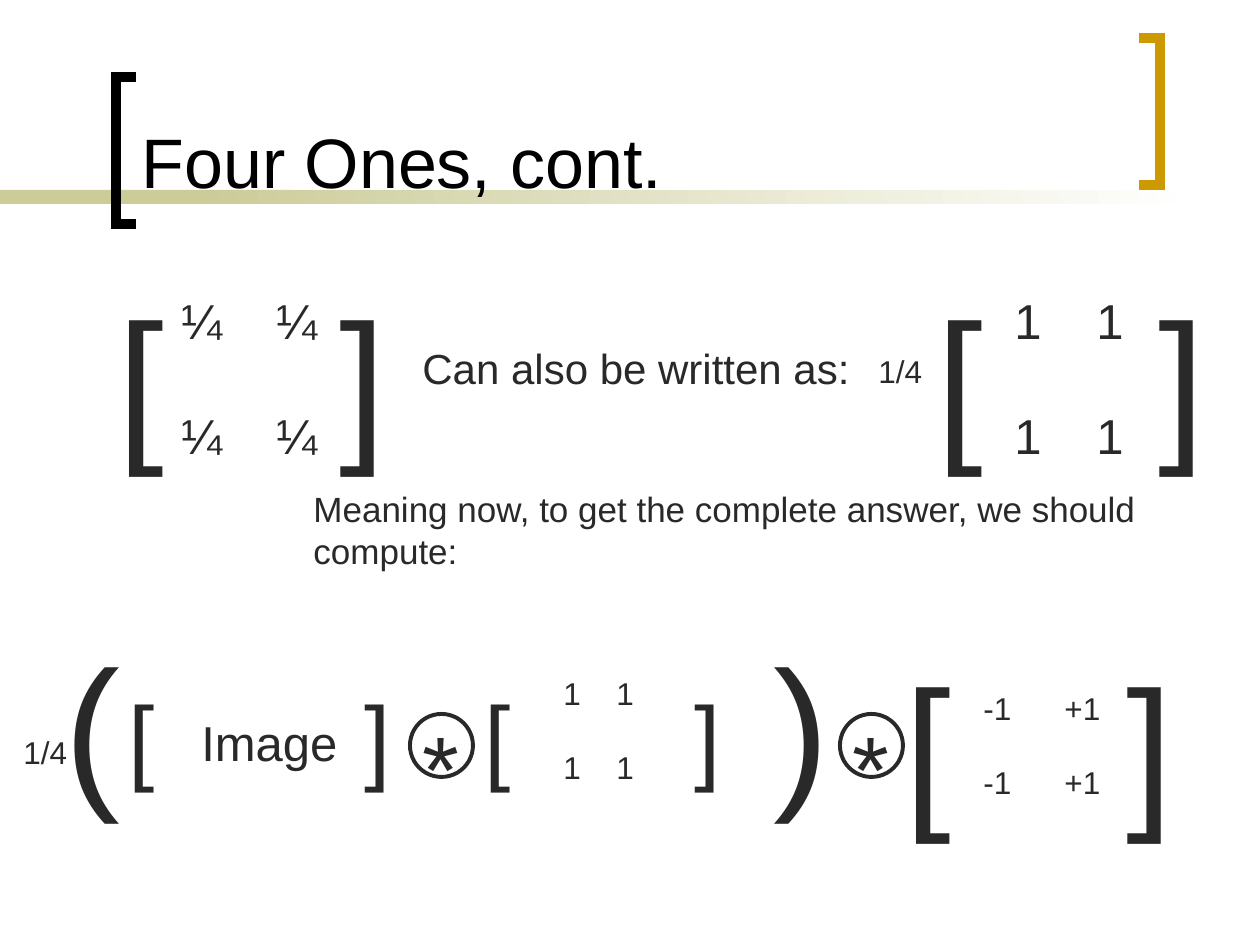
from lxml.etree import SubElement
from pptx import Presentation
from pptx.dml.color import RGBColor
from pptx.enum.shapes import MSO_SHAPE
from pptx.enum.text import MSO_ANCHOR, PP_ALIGN
from pptx.oxml.ns import qn
from pptx.util import Pt

EMU_PER_PX = 914400 / 126
FONT = "Arial"
COLORS = {
    "title": "000000",
    "text": "292929",
    "band": "CCCC99",
    "paper": "FFFFFF",
    "gold": "CC9900",
}


def px(value):
    return round(value * EMU_PER_PX)


def color(name):
    return RGBColor.from_string(COLORS[name])


def format_paragraph(para, size, color_name="text"):
    para.alignment = PP_ALIGN.LEFT
    for span in para.runs:
        span.font.name = FONT
        span.font.size = Pt(size)
        span.font.color.rgb = color(color_name)


def add_tab_stop(para, position):
    tabs = SubElement(para._p.get_or_add_pPr(), qn("a:tabLst"))
    SubElement(tabs, qn("a:tab"), pos=str(px(position)), algn="l")


def add_text(slide, text, left, top, width, height, size, tab=None, gap=0):
    box = slide.shapes.add_textbox(px(left), px(top), px(width), px(height))
    frame = box.text_frame
    frame.word_wrap = True
    frame.text = text
    for index, para in enumerate(frame.paragraphs):
        format_paragraph(para, size)
        if index and gap:
            para.space_before = Pt(gap)
        if tab:
            add_tab_stop(para, tab)


def add_matrix(slide, row, left, top, width, height, size, tab):
    text = "\n".join([row, row])
    add_text(slide, text, left, top, width, height, size, tab, gap=round(size * 1.15, 1))


def add_large_brackets(slide, left, top):
    add_text(slide, "[\t]", left, top, 336, 205, 96, tab=222)


def add_convolution(slide, left):
    add_text(slide, "*", left, 703, 64, 126, 54)
    ring = slide.shapes.add_shape(MSO_SHAPE.OVAL, px(left), px(714), px(63), px(63))
    ring.shadow.inherit = False
    ring.fill.background()
    ring.line.color.rgb = color("text")
    ring.line.width = Pt(2.25)


def add_band(slide, left, width, fades):
    band = slide.shapes.add_shape(MSO_SHAPE.RECTANGLE, px(left), px(190), px(width), px(14))
    band.shadow.inherit = False
    band.line.fill.background()
    if not fades:
        band.fill.solid()
        band.fill.fore_color.rgb = color("band")
        return
    band.fill.gradient()
    band.fill.gradient_angle = 0
    for stop, name, position in zip(band.fill.gradient_stops, ("band", "paper"), (0, 1)):
        stop.color.rgb = color(name)
        stop.position = position


def add_title_bracket(slide, tip, spine, top, color_name):
    bottom = top + 147
    builder = slide.shapes.build_freeform(tip, top, scale=EMU_PER_PX)
    builder.add_line_segments([(spine, top), (spine, bottom), (tip, bottom)], close=False)
    bracket = builder.convert_to_shape()
    bracket.shadow.inherit = False
    bracket.fill.background()
    bracket.line.color.rgb = color(color_name)
    bracket.line.width = Pt(6)
    SubElement(bracket.line._get_or_add_ln(), qn("a:miter"), lim="800000")


def set_title(slide, text):
    title = slide.shapes.title
    title.left, title.top, title.width, title.height = map(px, (129, 14, 987, 195))
    title.text_frame.text = text
    title.text_frame.vertical_anchor = MSO_ANCHOR.BOTTOM
    format_paragraph(title.text_frame.paragraphs[0], 40, "title")
    slide.shapes._spTree.append(title._element)


def main():
    deck = Presentation()
    deck.slide_width, deck.slide_height = px(1260), px(945)
    slide = deck.slides.add_slide(deck.slide_layouts[5])

    add_band(slide, 0, 294, fades=False)
    add_band(slide, 199, 998, fades=True)
    add_title_bracket(slide, 136, 116, 77, "title")
    add_title_bracket(slide, 1139, 1160, 38, "gold")
    set_title(slide, "Four Ones, cont.")

    add_large_brackets(slide, 105, 268)
    add_matrix(slide, "¼\t¼", 169, 284, 170, 189, 28, 95)
    add_text(slide, "Can also be written as:", 410, 336, 460, 63, 24)
    add_large_brackets(slide, 924, 268)
    add_matrix(slide, "1\t1", 1002, 284, 142, 189, 28, 82)
    add_text(slide, "1/4", 866, 346, 74, 50, 18)
    meaning = "Meaning now, to get the complete answer, we should\ncompute:"
    add_text(slide, meaning, 301, 481, 856, 97, 20)

    add_text(slide, "[\t]", 116, 673, 336, 121, 54, tab=236)
    add_text(slide, "Image", 189, 706, 161, 72, 28)
    add_text(slide, "[\t]", 472, 673, 336, 121, 54, tab=210)
    add_matrix(slide, "1\t1", 551, 668, 103, 126, 18, 53)
    add_large_brackets(slide, 892, 635)
    add_matrix(slide, "-1\t+1", 971, 683, 148, 126, 18, 81)
    add_convolution(slide, 410)
    add_text(slide, "(\t)", 52, 615, 790, 214, 96, tab=709)
    add_convolution(slide, 840)
    add_text(slide, "1/4", 11, 727, 74, 50, 18)

    deck.save("out.pptx")


if __name__ == "__main__":
    main()
